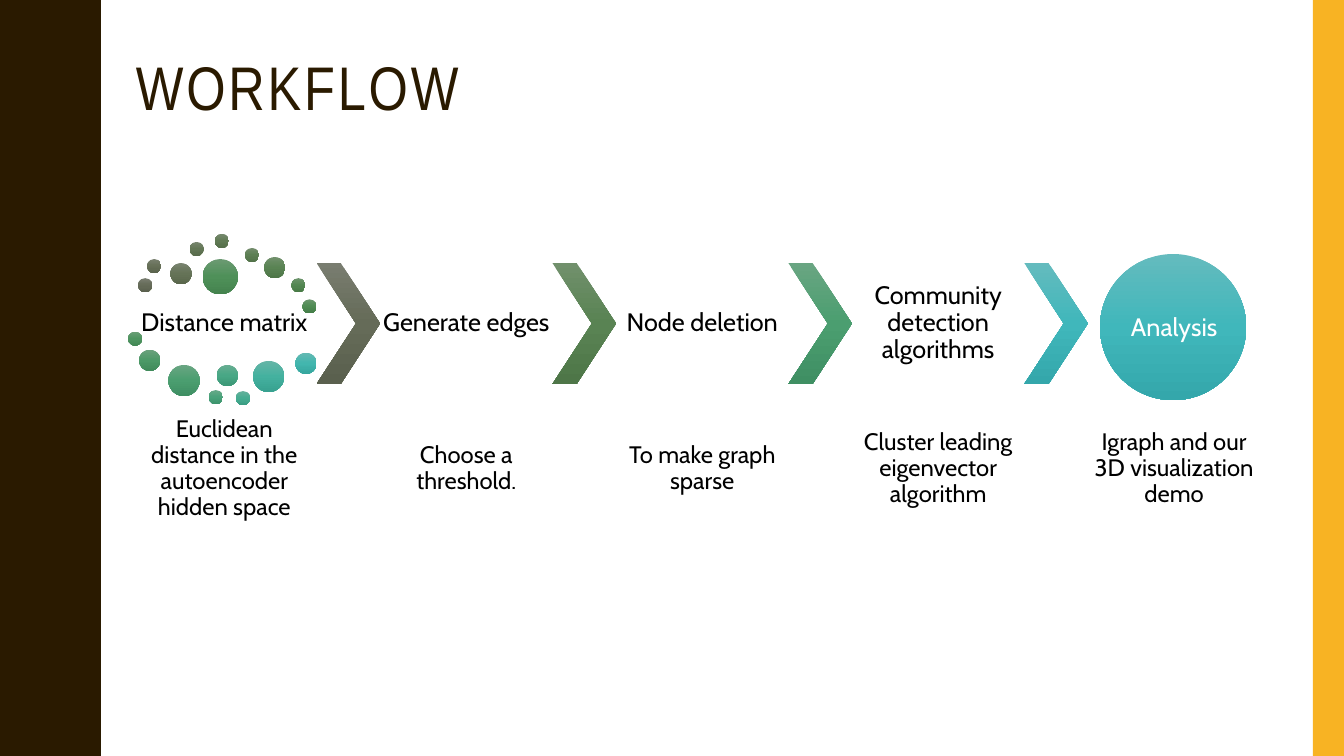
import copy

import pptx
import pptx.dml.color
import pptx.enum.shapes
import pptx.enum.text
import pptx.oxml
import pptx.util

Inches = pptx.util.Inches
Pt = pptx.util.Pt
Kind = pptx.enum.shapes.MSO_SHAPE
Align = pptx.enum.text.PP_ALIGN
Anchor = pptx.enum.text.MSO_ANCHOR


class Theme:
    dark, gold, black, white = "2A1A00", "F8B323", "000000", "FFFFFF"
    title_font, body_font = "Arial Narrow", "Cabin"
    title_size, step_size, note_size = 44, 18, 17
    # Gradients run from top to bottom: start, middle, end
    olive = ("797D70", "656B58", "5A604E")
    moss = ("71906C", "598353", "4E7648")
    green = ("69A582", "4B9E70", "3F8F63")
    teal = ("64BBBE", "40B7BB", "34A7AB")
    dots = (
        olive,
        ("79806F", "666F57", "5A634D"),
        ("79836F", "657357", "5A674C"),
        ("78866E", "637756", "586B4B"),
        ("76896E", "617B55", "566F4A"),
        ("748D6D", "5D7F54", "527249"),
        moss,
        ("6D946C", "538752", "487A46"),
        ("6B976E", "508C54", "457E49"),
        ("6B9A72", "4F9059", "44834E"),
        ("6A9E76", "4E9460", "428754"),
        ("6AA17C", "4C9967", "418B5B"),
        green,
        ("68A989", "49A27A", "3D946D"),
        ("67AD92", "48A785", "3C9877"),
        ("66B19C", "46AC91", "3A9D83"),
        ("65B5A7", "44B19F", "38A190"),
        ("64B9B3", "42B6AE", "36A69E"),
    )


def paint(shape, colors):
    """Fill a shape with one colour or a three-stop vertical gradient."""
    shape.shadow.inherit = False
    shape.line.fill.background()
    if len(colors) == 1:
        shape.fill.solid()
        shape.fill.fore_color.rgb = pptx.dml.color.RGBColor.from_string(colors[0])
        return
    shape.fill.gradient()
    shape.fill.gradient_angle = 270
    stop_list = shape._element.spPr.find(".//" + pptx.oxml.ns.qn("a:gsLst"))
    stop_list.insert(1, copy.deepcopy(stop_list[0]))
    for stop, position, color in zip(shape.fill.gradient_stops, (0, 0.5, 1), colors):
        stop.position = position
        stop.color.rgb = pptx.dml.color.RGBColor.from_string(color)


def write(words, left, top, width, height, size, color=Theme.black,
          font=Theme.body_font, align=Align.CENTER, anchor=Anchor.MIDDLE, inset=0.02):
    """Add a text box with one paragraph and return its run."""
    box = page.shapes.add_textbox(Inches(left), Inches(top), Inches(width), Inches(height))
    frame = box.text_frame
    frame.word_wrap = True
    frame.vertical_anchor = anchor
    frame.margin_left = frame.margin_right = Inches(inset)
    frame.margin_top = frame.margin_bottom = Inches(inset)
    para = frame.paragraphs[0]
    para.alignment = align
    para.line_spacing = 0.9
    span = para.add_run()
    span.text = words
    span.font.name = font
    span.font.size = Pt(size)
    span.font.color.rgb = pptx.dml.color.RGBColor.from_string(color)
    return span


deck = pptx.Presentation()
deck.slide_width, deck.slide_height = Inches(13.33), Inches(7.5)
page = deck.slides.add_slide(deck.slide_layouts[6])

# Wavy band on the left: a half wave, mirrored, then repeated
half_wave = [(0.78, 0), (0.78, 0.07), (0.79, 0.14), (0.8, 0.2), (0.81, 0.25),
             (0.83, 0.29), (0.85, 0.33), (0.87, 0.38), (0.89, 0.42), (0.91, 0.46),
             (0.93, 0.5), (0.95, 0.55), (0.96, 0.61), (0.97, 0.68), (0.97, 0.75)]
period = 1.5
wave = half_wave + [(x, period - y) for x, y in reversed(half_wave[:-1])]
edge = [(x, y + period * turn) for turn in range(5) for x, y in wave]
builder = page.shapes.build_freeform(0, 0, scale=Inches(1))
builder.add_line_segments(edge + [(0, 7.5)], close=True)
paint(builder.convert_to_shape(), [Theme.dark])

# Gold band on the right
gold_band = page.shapes.add_shape(Kind.RECTANGLE, Inches(13.02), 0, Inches(0.31), Inches(7.5))
paint(gold_band, [Theme.gold])

# Title
title = write("WORKFLOW", 1.25, 0.47, 6.67, 1.44, Theme.title_size, Theme.dark,
              Theme.title_font, Align.LEFT, Anchor.TOP, 0.1)
title.font._element.set("spc", "200")

# Ring of dots around the first step: left, top, diameter
dots = [(1.37, 2.76, 0.14), (1.46, 2.57, 0.14), (1.69, 2.61, 0.21), (1.88, 2.4, 0.14),
        (2.13, 2.32, 0.14), (2.43, 2.46, 0.14), (2.62, 2.55, 0.21), (2.89, 2.76, 0.14),
        (3, 2.97, 0.14), (2.01, 2.57, 0.35), (1.27, 3.29, 0.14), (1.38, 3.47, 0.21),
        (1.67, 3.62, 0.31), (2.07, 3.87, 0.14), (2.15, 3.62, 0.21), (2.34, 3.88, 0.14),
        (2.51, 3.58, 0.31), (2.93, 3.5, 0.21)]
for (left, top, size), colors in zip(dots, Theme.dots):
    dot = page.shapes.add_shape(Kind.OVAL, Inches(left), Inches(top), Inches(size), Inches(size))
    paint(dot, colors)

# Chevrons between the steps
pitch = 2.34
for index, colors in enumerate((Theme.olive, Theme.moss, Theme.green, Theme.teal)):
    chevron = page.shapes.add_shape(Kind.CHEVRON, Inches(3.14 + pitch * index), Inches(2.61),
                                    Inches(0.63), Inches(1.2))
    chevron.adjustments[0] = 0.62
    paint(chevron, colors)

# Disc of the last step
disc = page.shapes.add_shape(Kind.OVAL, Inches(10.91), Inches(2.52), Inches(1.45), Inches(1.45))
paint(disc, Theme.teal)

# Step names with the notes below: column left, name, name top, name height, colour, note
steps = [
    (1.37, "Distance matrix", 2.93, 0.56, Theme.black,
     "Euclidean distance in the autoencoder hidden space"),
    (3.77, "Generate edges", 2.61, 1.2, Theme.black, "Choose a threshold."),
    (3.77 + pitch, "Node deletion", 2.61, 1.2, Theme.black, "To make graph sparse"),
    (3.77 + pitch * 2, "Community detection algorithms", 2.61, 1.2, Theme.black,
     "Cluster leading eigenvector algorithm"),
    (3.77 + pitch * 3, "Analysis", 2.74, 1.03, Theme.white,
     "Igraph and our 3D visualization demo"),
]
for left, name, top, height, color, note in steps:
    write(name, left, top, 1.71, height, Theme.step_size, color)
    write(note, left, 4.12, 1.71, 1.06, Theme.note_size)

deck.save("out.pptx")
